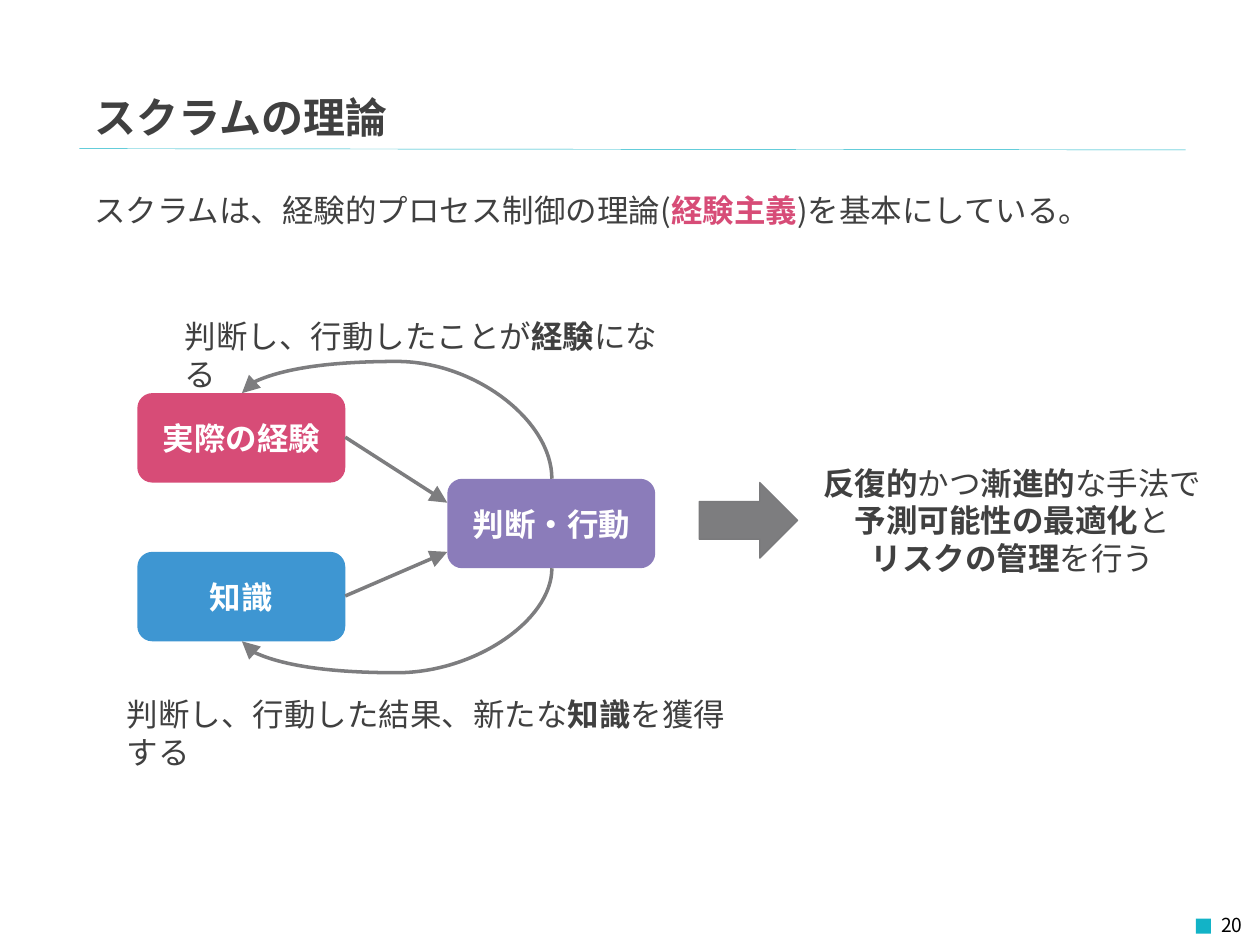
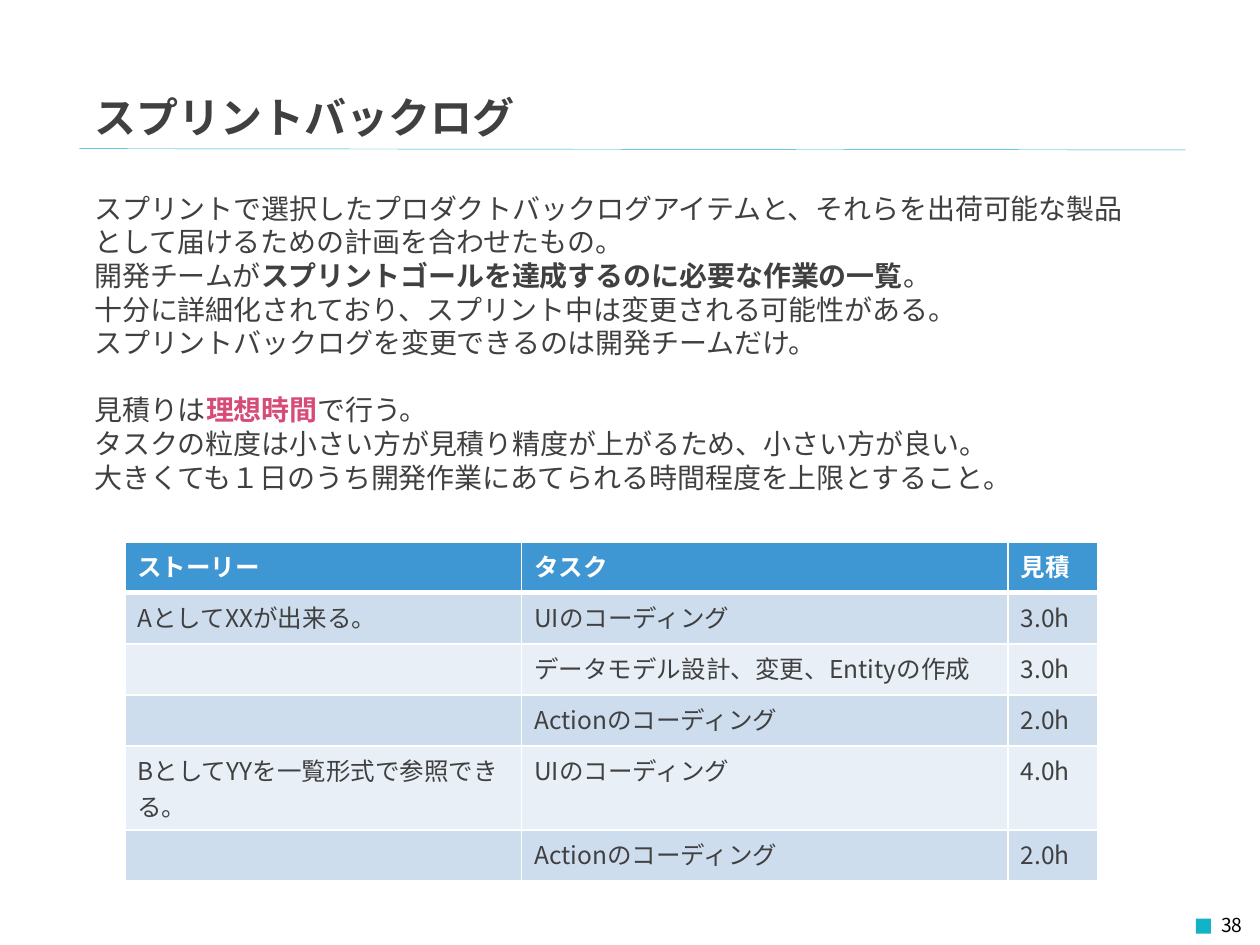
from dataclasses import dataclass
from typing import Optional

from lxml.etree import SubElement
from pptx import Presentation
from pptx.dml.color import RGBColor
from pptx.enum.shapes import MSO_CONNECTOR as Connector, MSO_SHAPE as Shape
from pptx.enum.text import MSO_ANCHOR as Anchor, MSO_AUTO_SIZE as AutoSize, PP_ALIGN as Align
from pptx.oxml.ns import qn
from pptx.util import Inches, Pt

# Shared look
TEAL, PINK, BLUE, PURPLE = "12B3C7", "D74C77", "3E96D2", "8B7CBA"
TEXT, GRAY, GRAY_EDGE, WHITE, BLACK = "404040", "7D7D7F", "7A7A7C", "FFFFFF", "000000"
BANDS = ("CEDDEE", "E8EFF7")
FONT_JP, FONT_KR = "Noto Sans CJK JP", "Noto Sans CJK KR"


@dataclass(frozen=True)
class Run:
    text: str
    bold: bool = False
    color: Optional[str] = None


@dataclass(frozen=True)
class Line:
    runs: tuple
    space_before: float = 0


@dataclass(frozen=True)
class Style:
    size: float
    font: str = FONT_KR
    color: str = TEXT
    bold: bool = False
    align: Align = Align.LEFT


@dataclass(frozen=True)
class Box:
    left: float
    top: float
    width: float
    height: float

    def inches(self) -> tuple:
        return tuple(Inches(v) for v in (self.left, self.top, self.width, self.height))


@dataclass(frozen=True)
class Node:
    text: str
    left: float
    top: float
    color: str


@dataclass(frozen=True)
class Arrow:
    begin: tuple
    end: tuple
    bulge: float = 0


TITLE_STYLE = Style(24, FONT_JP, bold=True)
NUMBER_STYLE = Style(11, FONT_JP, BLACK, align=Align.RIGHT)
NODE_STYLE = Style(18, color=WHITE, bold=True, align=Align.CENTER)
HEADER_STYLE = Style(14, color=WHITE, bold=True)


def rgb(color: str) -> RGBColor:
    return RGBColor.from_string(color)


def strong(text: str, color: Optional[str] = None) -> Run:
    return Run(text, True, color)


def line(*parts, space_before: float = 0) -> Line:
    runs = tuple(Run(part) if isinstance(part, str) else part for part in parts)
    return Line(runs, space_before)


def write(frame, lines: list, style: Style) -> None:
    for index, content in enumerate(lines):
        paragraph = frame.paragraphs[0] if index == 0 else frame.add_paragraph()
        paragraph.alignment = style.align
        paragraph.space_before = Pt(content.space_before)
        font = paragraph.font
        font.size, font.name, font.bold = Pt(style.size), style.font, style.bold
        font.color.rgb = rgb(style.color)
        # East Asian text needs its own typeface entry
        SubElement(font._element, qn("a:ea"), typeface=style.font)
        for part in content.runs:
            run = paragraph.add_run()
            run.text = part.text
            if part.bold:
                run.font.bold = True
            if part.color:
                run.font.color.rgb = rgb(part.color)


def set_frame(frame) -> None:
    frame.word_wrap = True
    frame.auto_size = AutoSize.NONE
    frame.vertical_anchor = Anchor.TOP
    frame.margin_left = frame.margin_right = Inches(0.1)
    frame.margin_top = frame.margin_bottom = Inches(0.05)


def add_text(slide, box: Box, lines: list, style: Style) -> None:
    frame = slide.shapes.add_textbox(*box.inches()).text_frame
    set_frame(frame)
    write(frame, lines, style)


def add_filled(slide, kind: Shape, box: Box, color: str, edge: Optional[str] = None):
    shape = slide.shapes.add_shape(kind, *box.inches())
    shape.shadow.inherit = False
    shape.fill.solid()
    shape.fill.fore_color.rgb = rgb(color)
    if edge:
        shape.line.color.rgb = rgb(edge)
        shape.line.width = Pt(0.75)
    else:
        shape.line.fill.background()
    return shape


def add_line(slide, kind: Connector, begin: tuple, end: tuple, color: str, width: float):
    points = [Inches(v) for v in (*begin, *end)]
    connector = slide.shapes.add_connector(kind, *points)
    connector.line.color.rgb = rgb(color)
    connector.line.width = Pt(width)
    SubElement(connector._element.spPr, qn("a:effectLst"))
    return connector


def add_arrow(slide, arrow: Arrow) -> None:
    if arrow.bulge:
        connector = add_loop(slide, arrow)
    else:
        connector = add_line(slide, Connector.STRAIGHT, arrow.begin, arrow.end, GRAY, 2)
    SubElement(connector.line._get_or_add_ln(), qn("a:tailEnd"),
               type="triangle", w="lg", len="lg")


def add_loop(slide, arrow: Arrow):
    """Curve that leaves and arrives vertically: a quarter-turned connector."""
    (x1, y1), (x2, y2) = arrow.begin, arrow.end
    center_x, center_y = (x1 + x2) / 2, (y1 + y2) / 2
    half_width, half_height = abs(y2 - y1) / 2, abs(x2 - x1) / 2
    connector = add_line(slide, Connector.CURVE,
                         (center_x - half_width, center_y - half_height),
                         (center_x + half_width, center_y + half_height), GRAY, 2)
    properties = connector._element.spPr
    downward = y2 > y1
    properties.xfrm.set("rot", str((90 if downward else 270) * 60000))
    if not downward:
        properties.xfrm.set("flipV", "1")
    guides = properties.find(qn("a:prstGeom")).find(qn("a:avLst"))
    SubElement(guides, qn("a:gd"), name="adj1", fmla=f"val {round(arrow.bulge * 100000)}")
    return connector


def add_base_slide(presentation, title: str, number: int):
    slide = presentation.slides.add_slide(presentation.slide_layouts[5])
    # Rule, page mark and page number
    add_line(slide, Connector.STRAIGHT, (0.63, 1.18), (9.41, 1.19), TEAL, 0.25)
    add_filled(slide, Shape.RECTANGLE, Box(9.49, 7.29, 0.12, 0.12), TEAL)
    add_text(slide, Box(8.57, 7.2, 1.39, 0.3), [line(str(number))], NUMBER_STYLE)
    # Title
    placeholder = slide.shapes.title
    placeholder.left, placeholder.top, placeholder.width, placeholder.height = Box(
        0.65, 0.68, 6.38, 0.39).inches()
    set_frame(placeholder.text_frame)
    write(placeholder.text_frame, [line(title)], TITLE_STYLE)
    return slide


def build_theory(presentation) -> None:
    slide = add_base_slide(presentation, "スクラムの理論", 20)
    body = Style(18)
    add_text(slide, Box(0.65, 1.47, 8.58, 0.4), [
        line("スクラムは、経験的プロセス制御の理論(", strong("経験主義", PINK), ")を基本にしている。"),
    ], body)

    # Cycle of experience, knowledge and action
    nodes = (
        Node("実際の経験", 1.09, 3.12, PINK),
        Node("知識", 1.09, 4.38, BLUE),
        Node("判断・行動", 3.55, 3.8, PURPLE),
    )
    for node in nodes:
        shape = add_filled(slide, Shape.ROUNDED_RECTANGLE,
                           Box(node.left, node.top, 1.65, 0.71), node.color)
        shape.text_frame.vertical_anchor = Anchor.MIDDLE
        write(shape.text_frame, [line(node.text)], NODE_STYLE)
    arrows = (
        Arrow((4.38, 4.51), (1.92, 5.09), 1.43),
        Arrow((4.38, 3.8), (1.92, 3.12), 1.37),
        Arrow((2.74, 3.47), (3.55, 3.99)),
        Arrow((2.74, 4.73), (3.55, 4.38)),
    )
    for arrow in arrows:
        add_arrow(slide, arrow)
    add_text(slide, Box(0.91, 5.47, 5.13, 0.4), [
        line("判断し、行動した結果、新たな", strong("知識"), "を獲得する"),
    ], body)
    add_text(slide, Box(1.37, 2.47, 4, 0.4), [
        line("判断し、行動したことが", strong("経験"), "になる"),
    ], body)

    # Outcome
    add_filled(slide, Shape.RIGHT_ARROW, Box(5.55, 3.83, 0.78, 0.6), GRAY, GRAY_EDGE)
    add_text(slide, Box(6.42, 3.63, 3.23, 1.01), [
        line(strong("反復的"), "かつ", strong("漸進的"), "な手法で"),
        line(strong("予測可能性の最適化"), "と"),
        line(strong("リスクの管理"), "を行う"),
    ], Style(18, align=Align.CENTER))


def add_border(cell, side: str, width: float) -> None:
    border = SubElement(cell._tc.get_or_add_tcPr(), qn(f"a:ln{side}"), w=str(Pt(width)))
    fill = SubElement(border, qn("a:solidFill"))
    SubElement(fill, qn("a:srgbClr"), val=WHITE)


def add_task_table(slide, box: Box, widths: tuple, rows: tuple) -> None:
    table = slide.shapes.add_table(len(rows), len(widths), *box.inches()).table
    for column, width in zip(table.columns, widths):
        column.width = Inches(width)
    for row_index, values in enumerate(rows):
        header = row_index == 0
        style = HEADER_STYLE if header else Style(14)
        color = BLUE if header else BANDS[(row_index - 1) % 2]
        for column_index, value in enumerate(values):
            cell = table.cell(row_index, column_index)
            for side in "LRTB":
                thick = (header and side == "B") or (row_index == 1 and side == "T")
                add_border(cell, side, 3 if thick else 1)
            cell.fill.solid()
            cell.fill.fore_color.rgb = rgb(color)
            write(cell.text_frame, [line(value) if value else line()], style)


def build_backlog(presentation) -> None:
    slide = add_base_slide(presentation, "スプリントバックログ", 38)
    add_text(slide, Box(0.65, 1.47, 8.58, 2.52), [
        line("スプリントで選択したプロダクトバックログアイテムと、それらを出荷可能な製品"
             "として届けるための計画を合わせたもの。"),
        line("開発チームが", strong("スプリントゴールを達成するのに必要な作業の一覧"), "。"),
        line("十分に詳細化されており、スプリント中は変更される可能性がある。"),
        line("スプリントバックログを変更できるのは開発チームだけ。"),
        line("見積りは", strong("理想時間", PINK), "で行う。", space_before=19.2),
        line("タスクの粒度は小さい方が見積り精度が上がるため、小さい方が良い。"),
        line("大きくても１日のうち開発作業にあてられる時間程度を上限とすること。"),
    ], Style(16, FONT_JP))

    # Tasks with their estimates
    add_task_table(slide, Box(0.99, 4.3, 7.72, 2.43), (3.15, 3.86, 0.71), (
        ("ストーリー", "タスク", "見積"),
        ("AとしてXXが出来る。", "UIのコーディング", "3.0h"),
        ("", "データモデル設計、変更、Entityの作成", "3.0h"),
        ("", "Actionのコーディング", "2.0h"),
        ("BとしてYYを一覧形式で参照できる。", "UIのコーディング", "4.0h"),
        ("", "Actionのコーディング", "2.0h"),
    ))


def main() -> None:
    presentation = Presentation()
    presentation.slide_width, presentation.slide_height = Inches(10), Inches(7.5)
    build_theory(presentation)
    build_backlog(presentation)
    presentation.save("out.pptx")


if __name__ == "__main__":
    main()
